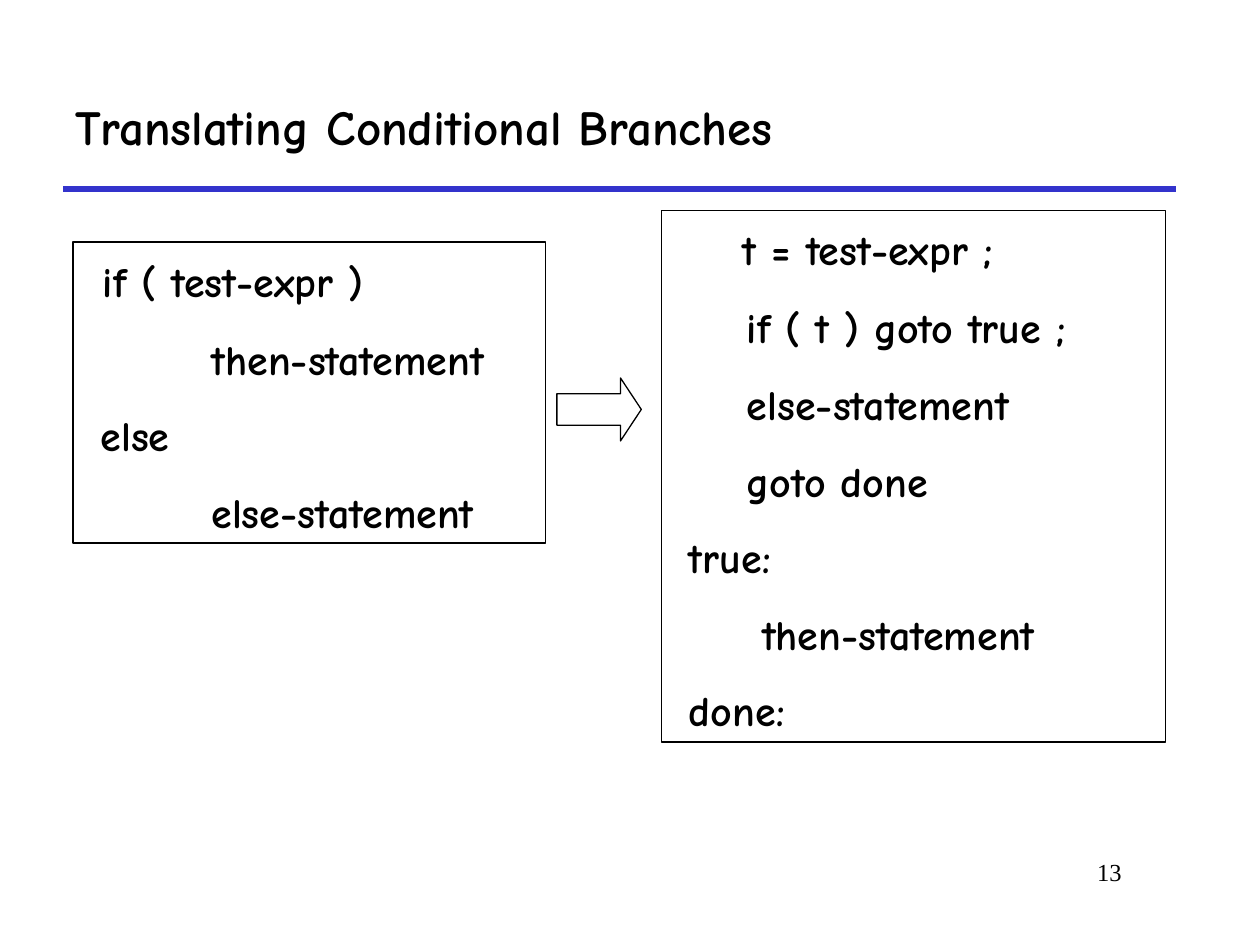
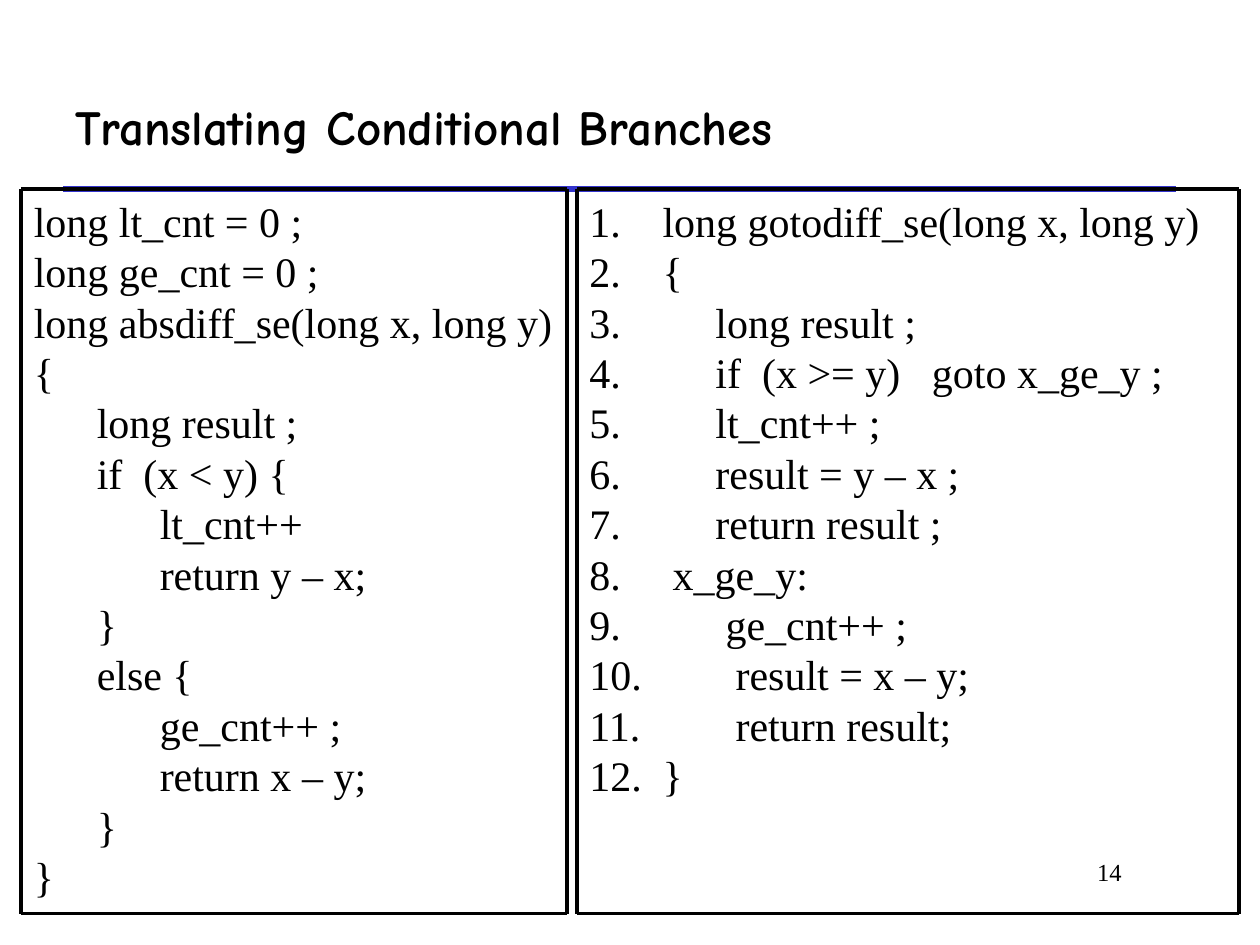
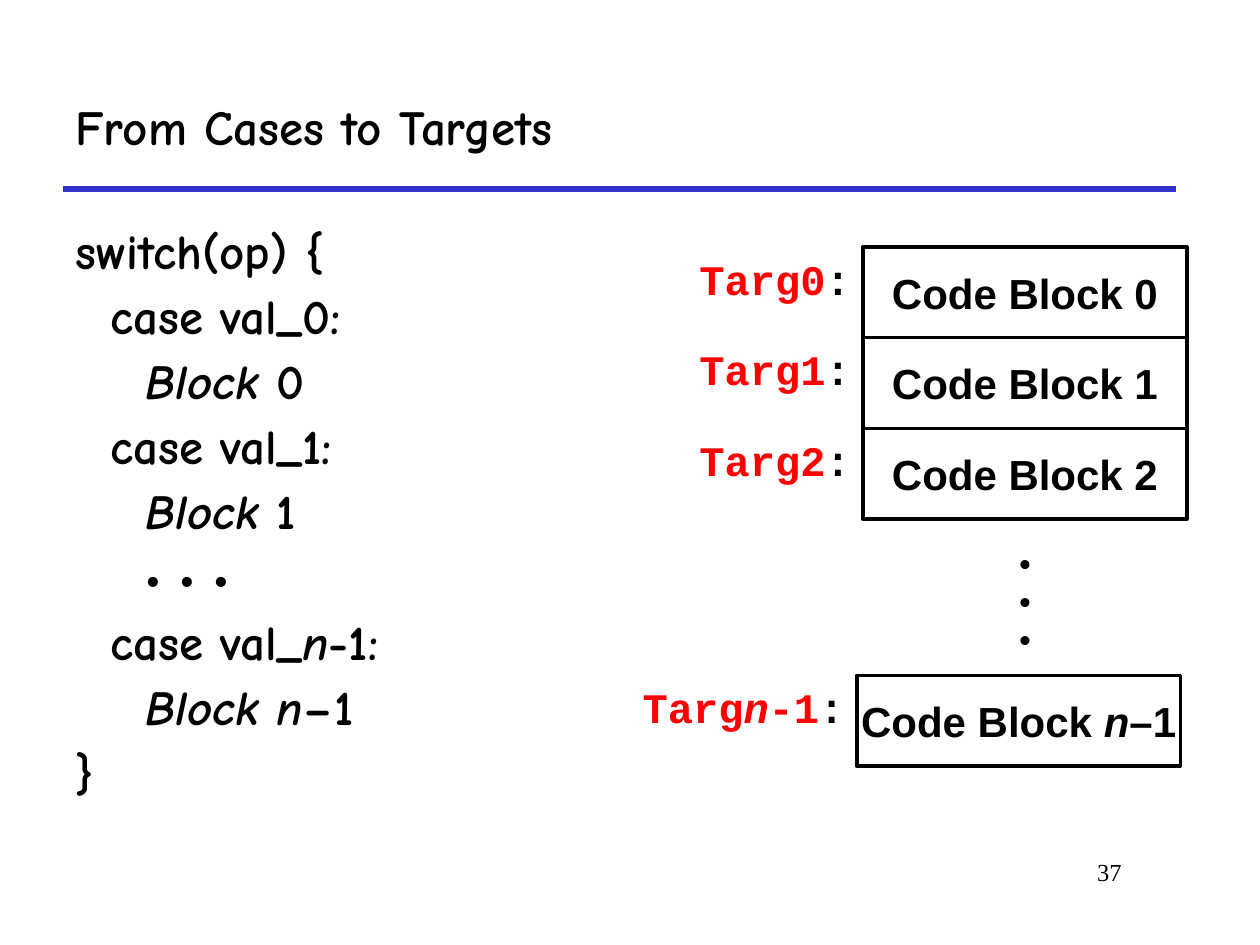
from pptx import Presentation
from pptx.dml.color import RGBColor
from pptx.enum.shapes import MSO_CONNECTOR, MSO_SHAPE
from pptx.enum.text import MSO_ANCHOR, PP_ALIGN
from pptx.oxml.ns import qn
from pptx.util import Inches, Pt
from lxml.etree import SubElement

BLACK, WHITE, BLUE, RED = "000000", "FFFFFF", "3333CC", "FF0000"
COMIC, TIMES, ARIAL, MONO = "Comic Neue", "Times New Roman", "Arial", "Courier New"
TOP, MID = MSO_ANCHOR.TOP, MSO_ANCHOR.MIDDLE
LEFT, MIDDLE, RIGHT = PP_ALIGN.LEFT, PP_ALIGN.CENTER, PP_ALIGN.RIGHT
ITALIC = {"italic": True}


def color(code):
    return RGBColor.from_string(code)


class Deck:
    def __init__(self):
        self.prs = Presentation()
        self.prs.slide_width, self.prs.slide_height = Inches(10), Inches(7.5)
        self.slide = None

    def page(self, title, number):
        """Start a slide with its rule, number and title."""
        self.slide = self.prs.slides.add_slide(self.prs.slide_layouts[6])
        self.line(0.5, 1.5, 9.33, 1.5, BLUE, 3)
        self.text((7.58, 6.75, 1.42, 0.5), [(0, number)], TIMES, 14, align=RIGHT)
        self.text((0.5, 0.5, 8.83, 1), [(0, title)], COMIC, 28, bold=True, anchor=MID)

    def line(self, x1, y1, x2, y2, ink=BLACK, width=2.25):
        line = self.slide.shapes.add_connector(
            MSO_CONNECTOR.STRAIGHT, Inches(x1), Inches(y1), Inches(x2), Inches(y2))
        line.line.color.rgb = color(ink)
        line.line.width = Pt(width)
        SubElement(line._element.spPr, qn("a:effectLst"))

    def frame(self, x, y, w, h):
        """Draw four border lines."""
        for edge in (y, y + h):
            self.line(x, edge, x + w, edge)
        for edge in (x, x + w):
            self.line(edge, y, edge, y + h)

    def shape(self, box, kind=MSO_SHAPE.RECTANGLE, fill=None, width=0.75):
        shape = self.slide.shapes.add_shape(kind, *map(Inches, box))
        shape.shadow.inherit = False
        if fill:
            shape.fill.solid()
            shape.fill.fore_color.rgb = color(fill)
        else:
            shape.fill.background()
        if width:
            shape.line.color.rgb = color(BLACK)
            shape.line.width = Pt(width)
        else:
            shape.line.fill.background()
        return shape

    def text(self, box, rows, font, size, **style):
        self.label(self.slide.shapes.add_textbox(*map(Inches, box)), rows, font, size, **style)

    def label(self, shape, rows, font, size, bold=False, align=LEFT, anchor=TOP,
              wrap=True, before=0, space=None, hang=None):
        """Each row is (indent, run, ...); a run is text or (text, style)."""
        frame = shape.text_frame
        frame.word_wrap = wrap
        frame.vertical_anchor = anchor
        for i, (indent, *runs) in enumerate(rows):
            para = frame.add_paragraph() if i else frame.paragraphs[0]
            para.alignment = align
            para.space_before = Pt(before)
            if space:
                para.line_spacing = space
            props = para._p.get_or_add_pPr()
            left = Inches(indent + (hang or 0))
            props.set("marL", str(left))
            props.set("indent", str(-left if hang else 0))
            if hang:
                SubElement(props, qn("a:buFont"), typeface=font)
                SubElement(props, qn("a:buAutoNum"), type="arabicPeriod")
            for item in runs:
                words, style = (item, {}) if isinstance(item, str) else item
                run = para.add_run()
                run.text = words
                run.font.name = font
                run.font.size = Pt(style.get("size", size))
                run.font.bold = bold
                run.font.italic = style.get("italic", False)
                run.font.color.rgb = color(style.get("ink", BLACK))


def branches(deck):
    deck.page("Translating Conditional Branches", "13")
    lead = (" ", {"size": 28})
    style = {"bold": True, "before": 15}
    # C form
    deck.label(deck.shape((0.58, 1.92, 3.75, 2.39)), [
        (0, lead, "if ( test-expr )"),
        (1, "then-statement"),
        (0.12, "else"),
        (1, "else-statement"),
    ], COMIC, 24, **style)
    arrow = deck.shape((4.42, 3, 0.67, 0.5), MSO_SHAPE.RIGHT_ARROW)
    arrow.adjustments[1] = 0.33
    # Goto form
    deck.label(deck.shape((5.25, 1.67, 4, 4.22)), [
        (0.41, lead, "t = test-expr ;"),
        (0.58, "if ( t ) goto true ;"),
        (0.58, "else-statement"),
        (0.58, "goto done"),
        (0.12, "true:"),
        (0.7, "then-statement"),
        (0.12, "done:"),
    ], COMIC, 24, **style)


def code(deck):
    deck.page("Translating Conditional Branches", "14")
    # C code
    left = (0.17, 1.5, 4.33, 5.75)
    deck.text(left, [
        (0, "long lt_cnt = 0 ;"),
        (0, "long ge_cnt = 0 ;"),
        (0, "long absdiff_se(long x, long y)"),
        (0, "{"),
        (0.5, "long result ;"),
        (0.5, "if  (x < y) {"),
        (1, "lt_cnt++"),
        (1, "return y – x;"),
        (0.5, "}"),
        (0.5, "else {"),
        (1, "ge_cnt++ ;"),
        (1, "return x – y;"),
        (0.5, "}"),
        (0, "}"),
    ], TIMES, 24)
    deck.frame(*left)
    # Numbered goto code
    right = (4.58, 1.5, 5.25, 5.75)
    deck.text(right, [
        (0, "long gotodiff_se(long x, long y)"),
        (0, "{"),
        (0.42, "long result ;"),
        (0.42, "if  (x >= y)   goto x_ge_y ;"),
        (0.42, "lt_cnt++ ;"),
        (0.42, "result = y – x ;"),
        (0.42, "return result ;"),
        (0.08, "x_ge_y:"),
        (0.5, "ge_cnt++ ;"),
        (0.58, "result = x – y;"),
        (0.58, "return result;"),
        (0, "}"),
    ], TIMES, 24, hang=0.58)
    deck.frame(*right)


def block(deck, x, y, width, name, target):
    """Draw a code block with its target label on the left."""
    deck.label(deck.shape((x, y, 2.57, 0.72), fill=WHITE, width=2), [(0, *name)],
               ARIAL, 24, bold=True, align=MIDDLE, anchor=MID, wrap=False)
    runs = [(words, {"ink": RED, **style}) for words, style in target]
    deck.text((x - width, y, width, 0.5), [(0, *runs, ":")],
              MONO, 24, bold=True, align=RIGHT, wrap=False)


def targets(deck):
    deck.page("From Cases to Targets", "37")
    # Switch statement
    step = 0.28
    deck.text((0.5, 1.75, 8.92, 4.83), [
        (0, "switch(op) {"),
        (step, "case val_0:"),
        (2 * step, ("Block", ITALIC), " 0"),
        (step, "case val_1:"),
        (2 * step, ("Block", ITALIC), " 1"),
        (2 * step, "• • •"),
        (step, "case val_", ("n", ITALIC), "-1:"),
        (2 * step, ("Block n", ITALIC), "–1"),
        (0, "}"),
    ], COMIC, 28, bold=True, before=7, space=0.9)
    # Code blocks
    for i in range(3):
        block(deck, 6.85, 1.96 + 0.72 * i, 1.4, [f"Code Block {i}"], [(f"Targ{i}", {})])
    block(deck, 6.8, 5.36, 1.8, ["Code Block ", ("n", ITALIC), "–1"],
          [("Targ", {}), ("n", ITALIC), ("-1", {})])
    # Dots between blocks
    deck.label(deck.shape((6.85, 4.38, 2.57, 0.78), fill=WHITE, width=0), [(0, "•")] * 3,
               MONO, 18, bold=True, align=MIDDLE, anchor=MID, wrap=False)


def main():
    deck = Deck()
    branches(deck)
    code(deck)
    targets(deck)
    deck.prs.save("out.pptx")


if __name__ == "__main__":
    main()
